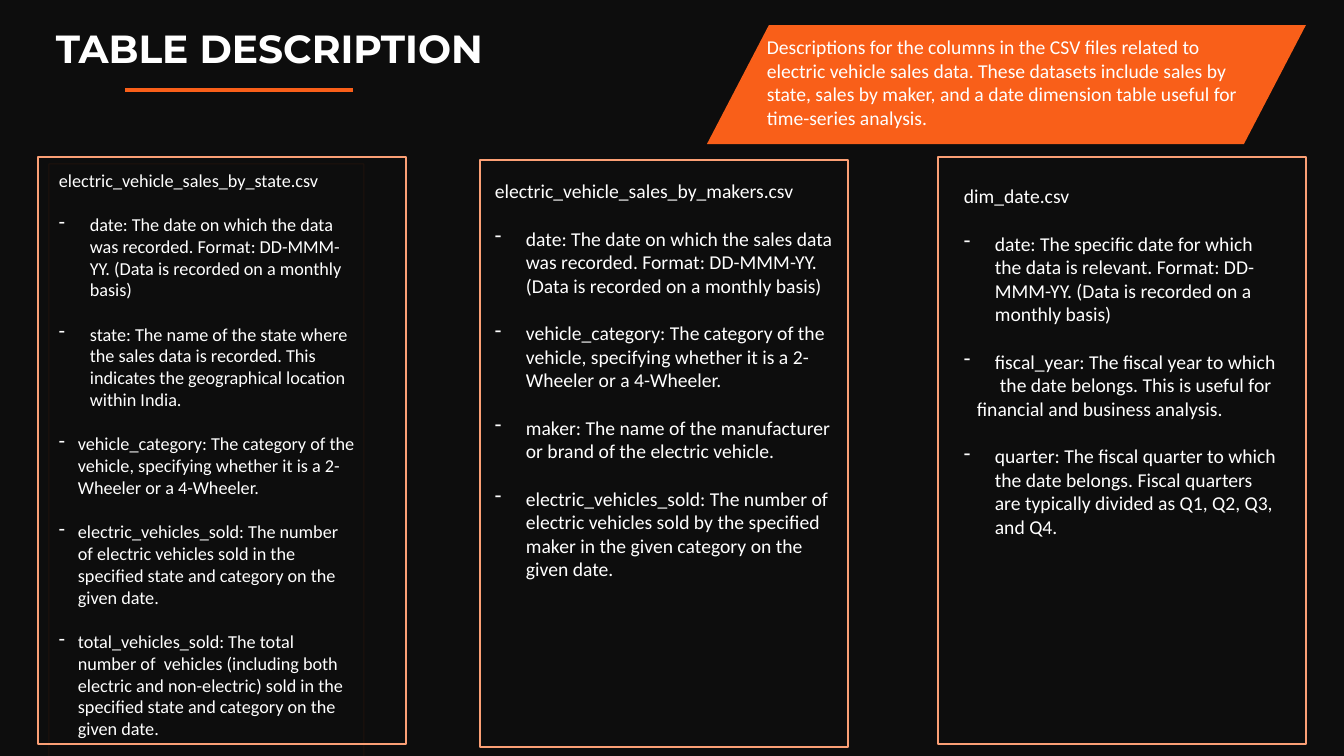
from lxml import etree
from pptx import Presentation
from pptx.dml.color import RGBColor
from pptx.enum.shapes import MSO_CONNECTOR, MSO_SHAPE
from pptx.enum.text import MSO_ANCHOR, PP_ALIGN
from pptx.oxml.ns import qn
from pptx.util import Emu, Pt

RECTANGLE = MSO_SHAPE.RECTANGLE
STRAIGHT = MSO_CONNECTOR.STRAIGHT
TOP = MSO_ANCHOR.TOP
LEFT = PP_ALIGN.LEFT

BLACK = RGBColor(0x0D, 0x0D, 0x0D)
WHITE = RGBColor(0xFF, 0xFF, 0xFF)
ORANGE = RGBColor(0xF9, 0x5F, 0x19)
PEACH = RGBColor(0xFB, 0x9F, 0x75)
BROWN = RGBColor(0x6D, 0x2A, 0x0B)

SLIDE_W, SLIDE_H = 1344, 756
SCALE = 12192000 / SLIDE_W
FRAME_W, FRAME_H = 368, 587
LINE_HEIGHT = 1.22
WIDE, NARROW = (31, -31), (19, -19)

STATE_COLUMNS = [
    ("date: The date on which the data was recorded. Format: DD-MMM-YY. "
     "(Data is recorded on a monthly basis)", WIDE),
    ("state: The name of the state where the sales data is recorded. "
     "This indicates the geographical location within India.", WIDE),
    ("vehicle_category: The category of the vehicle, specifying whether "
     "it is a 2-Wheeler or a 4-Wheeler.", NARROW),
    ("electric_vehicles_sold: The number of electric vehicles sold in the "
     "specified state and category on the given date.", NARROW),
    ("total_vehicles_sold: The total number of  vehicles (including both "
     "electric and non-electric) sold in the specified state and category "
     "on the given date.", NARROW),
]
MAKER_COLUMNS = [
    ("date: The date on which the sales data was recorded. Format: "
     "DD-MMM-YY. (Data is recorded on a monthly basis)", WIDE),
    ("vehicle_category: The category of the vehicle, specifying whether "
     "it is a 2-Wheeler or a 4-Wheeler.", WIDE),
    ("maker: The name of the manufacturer or brand of the electric vehicle.",
     WIDE),
    ("electric_vehicles_sold: The number of electric vehicles sold by the "
     "specified maker in the given category on the given date.", WIDE),
]
DATE_COLUMNS = [
    ("date: The specific date for which the data is relevant. Format: "
     "DD-MMM-YY. (Data is recorded on a monthly basis)", WIDE),
    ("fiscal_year: The fiscal year to which", WIDE),
    ("the date belongs. This is useful for financial and business analysis.",
     None),
    ("quarter: The fiscal quarter to which the date belongs. Fiscal quarters "
     "are typically divided as Q1, Q2, Q3, and Q4.", WIDE),
]
CONTINUATION = (13, 23)


def px(length):
    return Emu(round(length * SCALE))


def box_px(box):
    return [px(length) for length in box]


def write(paragraph, words, size, font="Calibri", bold=False):
    paragraph.alignment = LEFT
    run = paragraph.add_run()
    run.text = words
    run.font.name = font
    run.font.size = Pt(size)
    run.font.bold = bold
    run.font.color.rgb = WHITE


def text_area(slide, box):
    area = slide.shapes.add_textbox(*box_px(box))
    area.text_frame.word_wrap = True
    return area.text_frame


def outlined(slide, box, color, width):
    outline = slide.shapes.add_shape(RECTANGLE, *box_px(box))
    outline.shadow.inherit = False
    outline.fill.background()
    outline.line.color.rgb = color
    outline.line.width = Pt(width)
    return outline


def faint_area(slide, box):
    panel = outlined(slide, box, BROWN, 0.75)
    color = panel.line._ln.find(".//" + qn("a:srgbClr"))
    etree.SubElement(color, qn("a:alpha"), val="18000")
    panel.text_frame.word_wrap = True
    panel.text_frame.vertical_anchor = TOP
    return panel.text_frame


def heading(slide, box):
    left, top, width, height = box
    write(text_area(slide, box).paragraphs[0], "TABLE DESCRIPTION", 28,
          "Montserrat", True)
    rule_y = top + 71
    rule = slide.shapes.add_connector(STRAIGHT, px(left + 79), px(rule_y),
                                      px(left + 307), px(rule_y))
    rule.line.color.rgb = ORANGE
    rule.line.width = Pt(3)
    etree.SubElement(rule._element.spPr, qn("a:effectLst"))


def summary(slide, box):
    left, top, width, height = box
    right, bottom, slant = left + width, top + height, 62
    builder = slide.shapes.build_freeform(left + slant, top, scale=SCALE)
    builder.add_line_segments(
        [(right, top), (right - slant, bottom), (left, bottom)], close=True)
    banner = builder.convert_to_shape()
    banner.shadow.inherit = False
    banner.fill.solid()
    banner.fill.fore_color.rgb = ORANGE
    banner.line.fill.background()
    words = text_area(slide, (left + 50, top + 5, 493, 136))
    write(words.paragraphs[0],
          "Descriptions for the columns in the CSV files related to electric "
          "vehicle sales data. These datasets include sales by state, sales "
          "by maker, and a date dimension table useful for time-series "
          "analysis.", 14)


def add_entry(frame, words, indent, size):
    entry = frame.add_paragraph()
    properties = entry._p.get_or_add_pPr()
    margin, first = indent or CONTINUATION
    properties.set("marL", str(px(margin)))
    properties.set("indent", str(px(first)))
    if indent:
        etree.SubElement(properties, qn("a:buChar"), char="-")
        entry.space_before = Pt(round(size * LINE_HEIGHT, 1))
    write(entry, words, size)


def file_card(slide, box, inner, make_area, file_name, columns, size):
    left, top, width, height = box
    dx, dy, inner_w, inner_h = inner
    frame = make_area(slide, (left + dx, top + dy, inner_w, inner_h))
    write(frame.paragraphs[0], file_name, size)
    for words, indent in columns:
        add_entry(frame, words, indent, size)
    outlined(slide, box, PEACH, 2)


def main():
    deck = Presentation()
    deck.slide_width, deck.slide_height = px(SLIDE_W), px(SLIDE_H)
    slide = deck.slides.add_slide(deck.slide_layouts[6])
    slide.background.fill.solid()
    slide.background.fill.fore_color.rgb = BLACK
    heading(slide, (46, 19, 461, 126))
    summary(slide, (707, 25, 599, 119))
    file_card(slide, (38, 157, FRAME_W, FRAME_H), (11, 7, 315, 604),
              faint_area, "electric_vehicle_sales_by_state.csv",
              STATE_COLUMNS, 13)
    file_card(slide, (480, 160, FRAME_W, FRAME_H), (5, 14, 368, 437),
              text_area, "electric_vehicle_sales_by_makers.csv",
              MAKER_COLUMNS, 14)
    file_card(slide, (938, 157, FRAME_W, FRAME_H), (16, 22, 337, 367),
              text_area, "dim_date.csv", DATE_COLUMNS, 14)
    deck.save("out.pptx")


if __name__ == "__main__":
    main()
